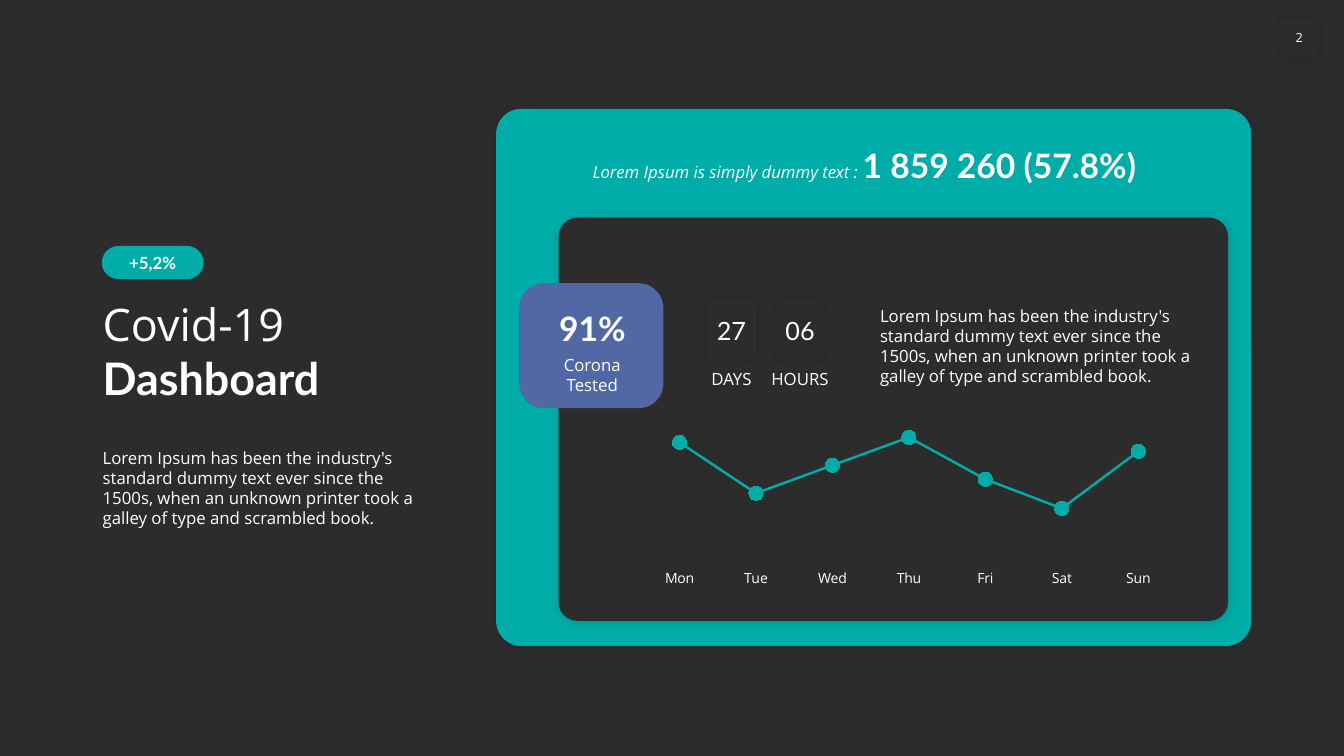
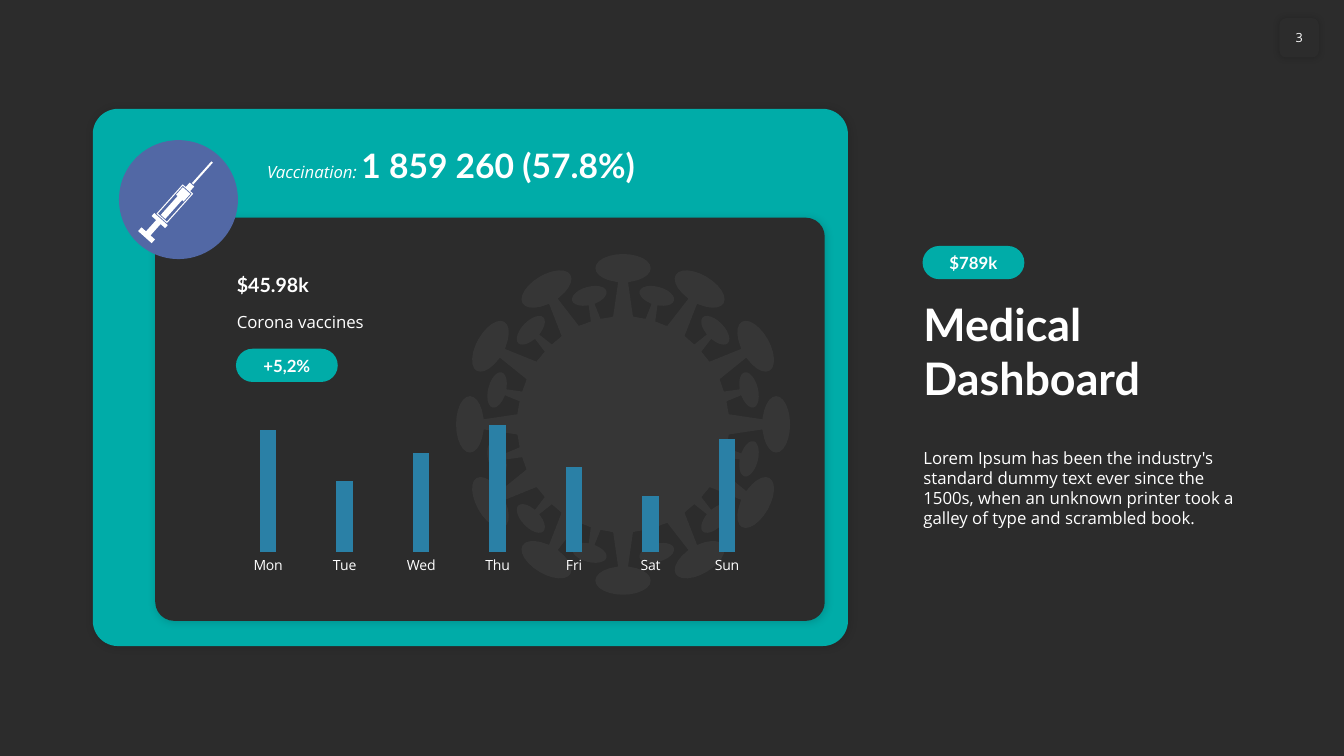
from math import cos, pi, radians, sin

from lxml.etree import SubElement
from pptx import Presentation
from pptx.chart.data import CategoryChartData
from pptx.dml.color import RGBColor
from pptx.enum.chart import XL_CHART_TYPE as KIND
from pptx.enum.chart import XL_MARKER_STYLE as MARK
from pptx.enum.chart import XL_TICK_MARK as TICK
from pptx.enum.shapes import MSO_SHAPE as FORM
from pptx.enum.text import MSO_ANCHOR as ANCHOR
from pptx.enum.text import PP_ALIGN as ALIGN
from pptx.oxml.ns import qn
from pptx.util import Inches, Pt

DARK, TEAL, BLUE, SKY, WHITE = "2C2C2C", "00ACA8", "5268A5", "2A80A6", "FFFFFF"
SANS, HEAD = "Open Sans", "Lato"
SOFT, GLOW = (15, 6, 1), (20, 5, 0)
LOREM = ("Lorem Ipsum has been the industry's standard dummy text ever since the 1500s, "
         "when an unknown printer took a galley of type and scrambled book.")
COUNT = ("1 859 260 (57.8%)", 24, HEAD, "b")
DAYS = ["Mon", "Tue", "Wed", "Thu", "Fri", "Sat", "Sun"]
VALUES = [96, 56, 78, 100, 67, 44, 89]


def color(code):
    """Turn a hex string into a colour."""
    return RGBColor.from_string(code)


class Deck:
    """Hold the style and the current slide."""

    def __init__(self):
        """Start an empty wide deck."""
        self.prs = Presentation()
        self.prs.slide_width, self.prs.slide_height = Inches(13.33), Inches(7.5)
        self.slide = None

    def label(self, shape, runs, align=ALIGN.LEFT, anchor=ANCHOR.TOP, pad=(0.1, 0.05), wrap=True):
        """Fill a shape with one paragraph of (text, size, font, style) runs."""
        frame = shape.text_frame
        frame.word_wrap, frame.vertical_anchor = wrap, anchor
        frame.margin_left = frame.margin_right = Inches(pad[0])
        frame.margin_top = frame.margin_bottom = Inches(pad[1])
        para = frame.paragraphs[0]
        para.alignment = align
        for words, size, face, style in runs:
            run = para.add_run()
            run.text = words
            font = run.font
            font.size, font.name = Pt(size), face
            font.bold, font.italic = style == "b", style == "i"
            font.color.rgb = color(WHITE)

    def text(self, box, *runs, **style):
        """Add a text box."""
        self.label(self.slide.shapes.add_textbox(*map(Inches, box)), runs, **style)

    def paint(self, shape, fill, shadow=None, alpha=None):
        """Give a shape a plain fill and, if asked, a shadow or transparency."""
        shape.shadow.inherit = False
        shape.fill.solid()
        shape.fill.fore_color.rgb = color(fill)
        shape.line.fill.background()
        if alpha:
            tone = shape._element.spPr.find(qn("a:solidFill"))[0]
            SubElement(tone, qn("a:alpha"), val=str(alpha * 1000))
        if shadow:
            dim, blur, dist = shadow
            effects = shape._element.spPr.find(qn("a:effectLst"))
            cast = SubElement(effects, qn("a:outerShdw"), blurRad=str(Pt(blur)),
                              dist=str(Pt(dist)), dir="2700000", algn="ctr", rotWithShape="0")
            tone = SubElement(cast, qn("a:srgbClr"), val="000000")
            SubElement(tone, qn("a:alpha"), val=str(dim * 1000))

    def shape(self, box, fill, form=FORM.ROUNDED_RECTANGLE, curve=None, shadow=None):
        """Add a preset shape."""
        item = self.slide.shapes.add_shape(form, *map(Inches, box))
        if curve is not None:
            item.adjustments[0] = curve
        self.paint(item, fill, shadow)
        return item

    def tile(self, box, run, wrap=True):
        """Add a dark glowing tile with centred text."""
        item = self.shape(box, DARK, shadow=GLOW)
        self.label(item, [run], ALIGN.CENTER, ANCHOR.MIDDLE, (0, 0.05), wrap)

    def tag(self, left, top, words):
        """Add a pill with a short figure."""
        item = self.shape((left, top, 1.01, 0.33), TEAL, curve=0.5)
        self.label(item, [(words, 12, HEAD, "b")], ALIGN.CENTER, ANCHOR.MIDDLE, (0, 0))

    def outline(self, loops, fill, alpha=None):
        """Add one freeform made of closed loops of points in inches."""
        loops = [[(Inches(x), Inches(y)) for x, y in loop] for loop in loops]
        pen = self.slide.shapes.build_freeform(*loops[0][0], scale=1.0)
        for rank, loop in enumerate(loops):
            if rank:
                pen.move_to(*loop[0])
            pen.add_line_segments(loop[1:], close=True)
        item = pen.convert_to_shape()
        self.paint(item, fill, alpha=alpha)
        return item

    def needle(self, x, y):
        """Draw a syringe centred on a point."""
        parts = [(-0.5, -0.21, 0.01), (-0.2, -0.14, 0.03), (-0.14, 0.25, 0.07),
                 (-0.13, 0.24, 0.06), (-0.12, -0.02, 0.05), (-0.02, 0.23, 0.03),
                 (0.26, 0.3, 0.09), (0.3, 0.45, 0.03), (0.45, 0.5, 0.09)]
        loops = [[(x + a, y - h), (x + b, y - h), (x + b, y + h), (x + a, y + h)]
                 for a, b, h in parts]
        self.outline(loops, WHITE).rotation = 131.8

    def virus(self, x, y):
        """Draw a round body with 24 spikes, large and small in turn."""
        large, small = (0.1, 0.05, 1.55, 0.28, 0.14), (0.05, 0.03, 1.32, 0.18, 0.09)
        points = []
        for rank in range(24):
            base, neck, reach, wide, thick = small if rank % 2 else large
            spike = [(-base, 1.07), (-neck, reach - thick)]
            for step in range(1, 24):
                turn = 2 * pi * step / 24
                spike.append((-wide * sin(turn), reach - thick * cos(turn)))
            spike += [(neck, reach - thick), (base, 1.07)]
            tilt = radians(15 * rank)
            points += [(x + 0.98 * (u * cos(tilt) + v * sin(tilt)),
                        y + u * sin(tilt) - v * cos(tilt)) for u, v in spike]
            edge = radians(15 * rank + 8.5)
            points.append((x + 1.05 * sin(edge), y - 1.07 * cos(edge)))
        self.outline([points], WHITE, 5)

    def chart(self, left, top, kind, tone):
        """Add the weekly chart as a line or as columns."""
        data = CategoryChartData()
        data.categories = DAYS
        data.add_series("Series 1", VALUES)
        box = map(Inches, (left, top, 5.53, 1.68))
        chart = self.slide.shapes.add_chart(kind, *box, data).chart
        chart.has_legend = chart.has_title = False
        chart.font.size, chart.font.name = Pt(12), SANS
        chart.font.color.rgb = color(WHITE)
        days, scale = chart.category_axis, chart.value_axis
        days.major_tick_mark = days.minor_tick_mark = TICK.NONE
        days.format.line.fill.background()
        days.tick_labels.font.size = Pt(10)
        days.tick_labels.font.name = SANS
        days.tick_labels.font.color.rgb = color(WHITE)
        scale.visible = scale.has_major_gridlines = False
        scale.minimum_scale, scale.maximum_scale = 0, 110
        plot = chart.plots[0]
        plot.vary_by_categories = False
        line = plot.series[0]
        if kind == KIND.COLUMN_CLUSTERED:
            plot.gap_width, plot.overlap = 360, -30
            line.format.fill.solid()
            line.format.fill.fore_color.rgb = color(tone)
            return
        line.smooth = False
        line.format.line.width = Pt(1.75)
        line.format.line.color.rgb = color(tone)
        line.marker.style, line.marker.size = MARK.CIRCLE, 10
        line.marker.format.fill.solid()
        line.marker.format.fill.fore_color.rgb = color(tone)
        line.marker.format.line.fill.background()

    def page(self, number, panel, side, tag, *title):
        """Start a slide with its panel, card, number and text column."""
        self.slide = self.prs.slides.add_slide(self.prs.slide_layouts[6])
        back = self.slide.background.fill
        back.solid()
        back.fore_color.rgb = color(DARK)
        self.shape((panel, 1.08, 7.49, 5.33), TEAL, curve=0.047, shadow=SOFT)
        self.tile((12.69, 0.18, 0.39, 0.39), (number, 9, SANS, ""), False)
        self.text((side, 2.88, 3.36, 1.18), *title, anchor=ANCHOR.BOTTOM)
        self.text((side, 4.39, 3.36, 0.91), (LOREM, 12, SANS, ""))
        self.tag(side + 0.09, 2.44, tag)
        self.shape((panel + 0.62, 2.16, 6.64, 4), DARK, curve=0.047, shadow=SOFT)


def main():
    """Build both dashboards and save them."""
    deck = Deck()

    deck.page("2", 4.92, 0.92, "+5,2%",
              ("Covid-19 ", 32, SANS, ""), ("Dashboard", 32, HEAD, "b"))
    deck.text((5.78, 1.39, 6, 0.5), ("Lorem Ipsum is simply dummy text : ", 12, SANS, "i"), COUNT)
    deck.shape((5.15, 2.81, 1.43, 1.24), BLUE, curve=0.2)
    deck.text((5.26, 3, 1.23, 0.5), ("91%", 24, HEAD, "b"),
              align=ALIGN.CENTER, anchor=ANCHOR.BOTTOM)
    deck.text((5.26, 3.47, 1.23, 0.5), ("Corona Tested", 12, SANS, ""), align=ALIGN.CENTER)
    for left, count, unit in ((7.01, "27", "DAYS"), (7.69, "06", "HOURS")):
        deck.tile((left, 2.97, 0.49, 0.61), (count, 18, HEAD, ""))
        deck.text((left - 0.09, 3.61, 0.67, 0.3), (unit, 12, SANS, ""),
                  align=ALIGN.CENTER, pad=(0.04, 0.05))
    deck.text((8.63, 2.98, 3.36, 0.91), (LOREM, 12, SANS, ""))
    deck.chart(6.25, 4.18, KIND.LINE_MARKERS_STACKED, TEAL)

    deck.page("3", 0.92, 9.06, "$789k", ("Medical Dashboard", 32, HEAD, "b"))
    deck.text((2.55, 1.39, 5.22, 0.5), ("Vaccination: ", 12, SANS, "i"), COUNT)
    deck.shape((1.18, 1.39, 1.18, 1.18), BLUE, FORM.OVAL)
    deck.needle(1.77, 1.98)
    deck.text((2.25, 2.65, 5.01, 0.34), ("$45.98k", 14, HEAD, "b"), anchor=ANCHOR.BOTTOM)
    deck.text((2.25, 3.04, 5.01, 0.3), ("Corona vaccines", 12, SANS, ""))
    deck.tag(2.34, 3.46, "+5,2%")
    deck.virus(6.18, 4.21)
    deck.chart(2.17, 4.06, KIND.COLUMN_CLUSTERED, SKY)

    deck.prs.save("out.pptx")


if __name__ == "__main__":
    main()
